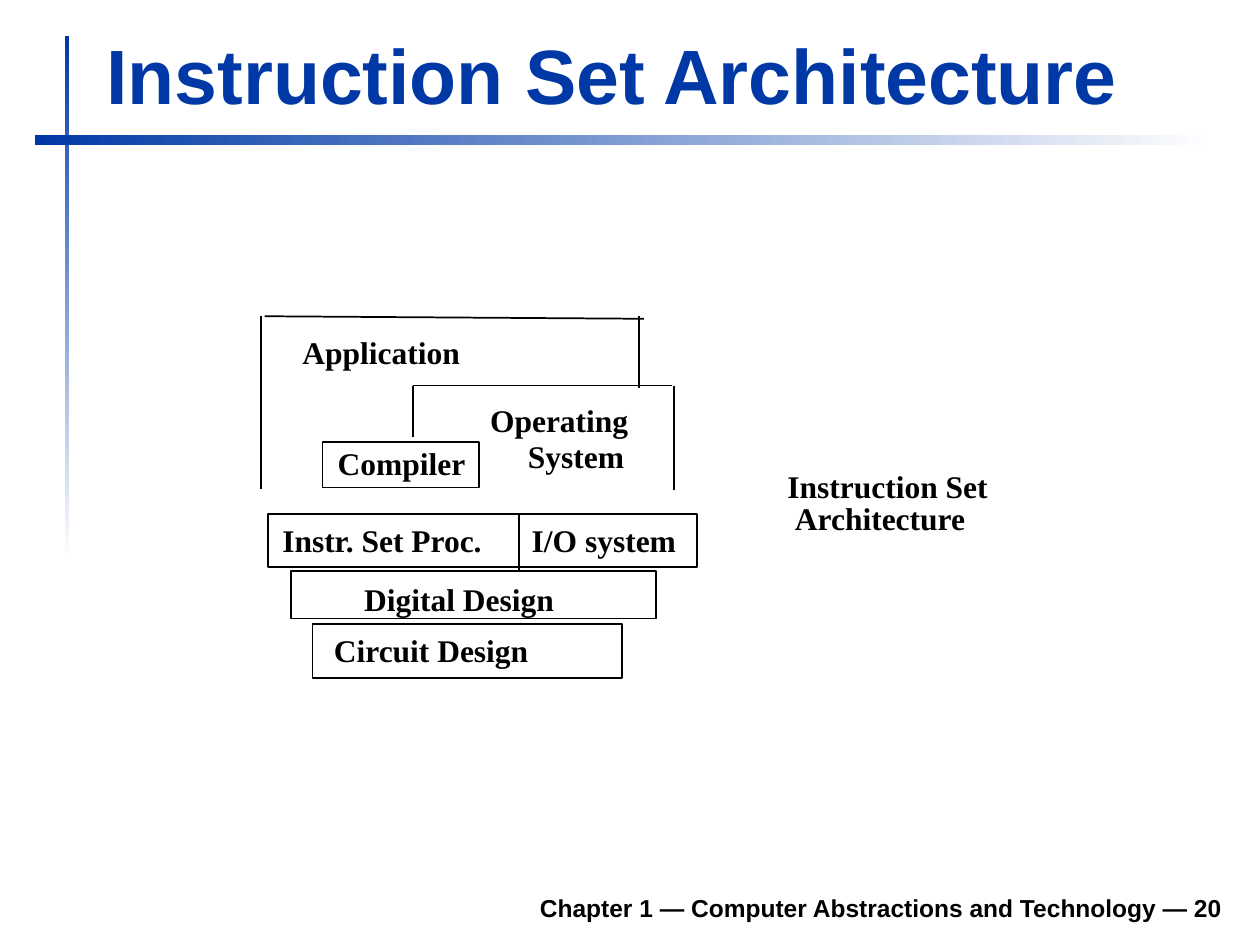
from pptx import Presentation
from pptx.dml.color import RGBColor
from pptx.enum.shapes import MSO_CONNECTOR as Connector, MSO_SHAPE as Shape
from pptx.enum.text import MSO_ANCHOR as Anchor, MSO_AUTO_SIZE as AutoSize, PP_ALIGN as Align
from pptx.oxml.ns import qn
from pptx.util import Inches, Pt
from lxml.etree import SubElement

BLUE = RGBColor(0x00, 0x39, 0xA6)
BLACK = RGBColor(0, 0, 0)
WHITE = RGBColor(255, 255, 255)


class SlideBuilder:
    """Draws styled elements on a grid of 100 columns by 75 rows."""

    heading_font = "Arial"
    label_font = "Times New Roman"
    label_size = 18
    label_height = 3.6
    line_width = Pt(1)

    def __init__(self, presentation):
        self.column = presentation.slide_width / 100
        self.row = presentation.slide_height / 75
        self.slide = presentation.slides.add_slide(presentation.slide_layouts[5])

    def place(self, left, top, width, height):
        return (round(left * self.column), round(top * self.row),
                round(width * self.column), round(height * self.row))

    def format_text(self, paragraph, name, size, color, align=Align.LEFT):
        paragraph.alignment = align
        for run in paragraph.runs:
            run.font.name = name
            run.font.size = Pt(size)
            run.font.bold = True
            run.font.color.rgb = color

    def title(self, text, *box):
        shape = self.slide.shapes.title
        shape.left, shape.top, shape.width, shape.height = self.place(*box)
        frame = shape.text_frame
        frame.text = text
        frame.vertical_anchor = Anchor.BOTTOM
        frame.auto_size = AutoSize.NONE
        self.format_text(frame.paragraphs[0], self.heading_font, 44, BLUE)

    def footer(self, text, *box):
        frame = self.slide.shapes.add_textbox(*self.place(*box)).text_frame
        frame.text = text
        frame.word_wrap = True
        frame.vertical_anchor = Anchor.BOTTOM
        self.format_text(frame.paragraphs[0], self.heading_font, 14, BLACK, Align.RIGHT)

    def label(self, text, left, top, width, height=label_height, spacing=1.02, indent=0):
        shape = self.slide.shapes.add_textbox(*self.place(left, top, width, height))
        frame = shape.text_frame
        frame.text = text
        frame.word_wrap = False
        frame.auto_size = AutoSize.SHAPE_TO_FIT_TEXT
        frame.margin_left = frame.margin_right = Inches(0.07)
        frame.margin_top = frame.margin_bottom = Inches(0.03)
        for index, paragraph in enumerate(frame.paragraphs):
            paragraph.line_spacing = spacing
            self.format_text(paragraph, self.label_font, self.label_size, BLACK)
            if index and indent:
                properties = paragraph._p.get_or_add_pPr()
                properties.set("marL", str(round(indent * self.column)))

    def rectangle(self, *box):
        shape = self.slide.shapes.add_shape(Shape.RECTANGLE, *self.place(*box))
        shape.shadow.inherit = False
        shape.fill.background()
        shape.line.color.rgb = BLACK
        shape.line.width = self.line_width
        return shape

    def fading_bar(self, angle, *box):
        shape = self.rectangle(*box)
        shape.line.fill.background()
        shape.fill.gradient()
        shape.fill.gradient_angle = angle
        for stop, color, position in zip(shape.fill.gradient_stops, (BLUE, WHITE), (0, 1)):
            stop.color.rgb = color
            stop.position = position

    def line(self, *ends):
        connector = self.slide.shapes.add_connector(Connector.STRAIGHT, *self.place(*ends))
        connector.line.color.rgb = BLACK
        connector.line.width = self.line_width
        SubElement(connector._element.spPr, qn("a:effectLst"))


def main():
    """Build the slide and save it."""
    presentation = Presentation()
    presentation.slide_width = Inches(10)
    presentation.slide_height = Inches(7.5)
    builder = SlideBuilder(presentation)

    builder.fading_bar(270, 5.15, 2.85, 0.35, 41.7)
    builder.fading_bar(0, 2.75, 10.7, 93.7, 0.8)
    builder.title("Instruction Set Architecture", 7.45, 1.6, 90.3, 8.4)
    builder.footer("Chapter 1 — Computer Abstractions and Technology — 20",
                   18.5, 69.8, 79.5, 3.9)

    layer_boxes = [
        (25.6, 35.1, 12.4, 3.6),
        (21.3, 40.8, 34, 4.2),
        (23.1, 45.3, 29, 3.8),
        (24.8, 49.5, 24.6, 4.3),
    ]
    for box in layer_boxes:
        builder.rectangle(*box)

    application_edges = [
        (20.7, 38.8, 20.7, 25.1),
        (21, 25.1, 51.1, 25.3),
        (50.7, 25.1, 50.7, 30.8),
    ]
    system_edges = [
        (32.8, 34.7, 32.8, 30.6),
        (32.8, 30.6, 53.3, 30.6),
        (53.5, 30.6, 53.5, 38.9),
    ]
    processor_divider = (41.2, 40.7, 41.2, 45.3)
    for ends in [*application_edges, *system_edges, processor_divider]:
        builder.line(*ends)

    labels = [
        ("Application", 23.3, 26.1, 14.2),
        ("Operating", 38.2, 31.5, 12.7),
        ("System", 41.2, 34.3, 9.3),
        ("Compiler", 26.1, 34.9, 11.8),
        ("Instr. Set Proc.", 21.7, 41, 17.8),
        ("I/O system", 41.5, 41, 13.1),
        ("Digital Design", 28.2, 45.7, 16.8),
        ("Circuit Design", 25.8, 49.7, 17.2),
    ]
    for label in labels:
        builder.label(*label)
    builder.label("Instruction Set\nArchitecture", 61.8, 37.2, 17.6, 5.7,
                  spacing=0.85, indent=0.6)

    presentation.save("out.pptx")


if __name__ == "__main__":
    main()
